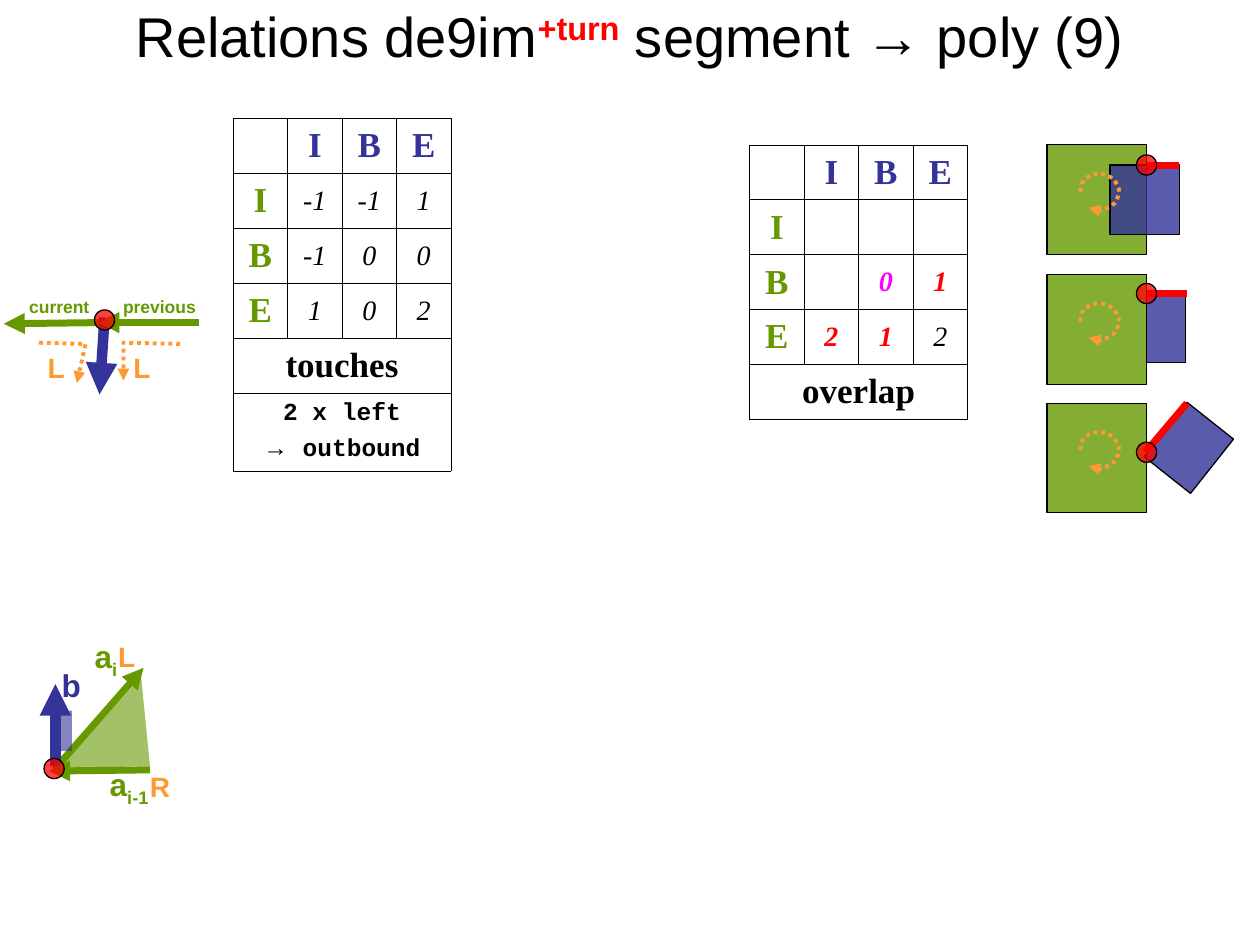
from lxml.etree import SubElement
from pptx import Presentation
from pptx.dml.color import RGBColor
from pptx.enum.dml import MSO_LINE_DASH_STYLE as Dash
from pptx.enum.shapes import MSO_CONNECTOR as Connector, MSO_SHAPE as Shape
from pptx.enum.text import MSO_ANCHOR as Anchor, MSO_AUTO_SIZE as AutoSize, PP_ALIGN as Align
from pptx.oxml import parse_xml
from pptx.oxml.ns import nsdecls, qn
from pptx.util import Inches, Pt

COLORS = {"black": "000000", "green": "669900", "blue": "333399",
          "orange": "FF9933", "red": "FF0000", "pink": "FF00FF"}
SERIF = "Times New Roman"
MONO = "Courier New"
TURN = [(8.57, 0.37), (8.58, 0.36), (8.58, 0.3), (8.6, 0.28), (8.62, 0.26),
        (8.67, 0.23), (8.7, 0.23), (8.74, 0.22), (8.79, 0.24), (8.82, 0.26),
        (8.85, 0.28), (8.87, 0.32), (8.88, 0.35), (8.88, 0.38), (8.87, 0.44),
        (8.85, 0.46), (8.82, 0.49), (8.77, 0.51), (8.74, 0.52), (8.7, 0.53),
        (8.66, 0.5), (8.64, 0.5)]


class SlideBuilder:
    def __init__(self, slide):
        self.slide = slide
        self.shapes = slide.shapes

    def rgb(self, color):
        return RGBColor.from_string(COLORS[color])

    def run(self, para, text, size, color="black", bold=True, italic=False,
            font="Arial", baseline=0):
        span = para.add_run()
        span.text = text
        span.font.size = Pt(size)
        span.font.name = font
        span.font.bold = bold
        span.font.italic = italic
        span.font.color.rgb = self.rgb(color)
        if baseline:
            span.font._element.set("baseline", str(baseline * 1000))

    def title(self, left, top, width, height):
        box = self.shapes.title
        box.left, box.top, box.width, box.height = map(Inches, (left, top, width, height))
        frame = box.text_frame
        frame.auto_size = AutoSize.NONE
        frame.vertical_anchor = Anchor.MIDDLE
        para = frame.paragraphs[0]
        para.alignment = Align.CENTER
        self.run(para, "Relations de9im", 32, bold=False)
        self.run(para, "+turn", 32, "red", baseline=30)
        self.run(para, " segment → poly (9)", 32, bold=False)

    def label(self, left, top, width, height, text, size, color, sub=""):
        box = self.shapes.add_textbox(*map(Inches, (left, top, width, height)))
        frame = box.text_frame
        frame.word_wrap = False
        frame.auto_size = AutoSize.SHAPE_TO_FIT_TEXT
        para = frame.paragraphs[0]
        para.alignment = Align.CENTER
        self.run(para, text, size, color)
        if sub:
            self.run(para, sub, size, color, baseline=-25)

    def fill(self, shape, color, opacity):
        shape.shadow.inherit = False
        shape.fill.solid()
        shape.fill.fore_color.rgb = self.rgb(color)
        choice = shape._element.spPr.find(qn("a:solidFill"))[0]
        SubElement(choice, qn("a:alpha")).set("val", str(opacity * 1000))

    def solid(self, kind, left, top, width, height, color, opacity=80, outline=True, turn=0):
        shape = self.shapes.add_shape(kind, *map(Inches, (left, top, width, height)))
        shape.rotation = turn
        self.fill(shape, color, opacity)
        if outline:
            shape.line.color.rgb = self.rgb("black")
            shape.line.width = Pt(0.75)
        else:
            shape.line.fill.background()

    def node(self, x, y):
        self.solid(Shape.OVAL, x - 0.08, y - 0.08, 0.16, 0.16, "red", 75)

    def stroke(self, line, color, width, arrow):
        line.color.rgb = self.rgb(color)
        line.width = Pt(width)
        if arrow:
            SubElement(line._get_or_add_ln(), qn("a:tailEnd")).set("type", "triangle")

    def line(self, start, end, color, width=4, arrow=True):
        link = self.shapes.add_connector(Connector.STRAIGHT, *map(Inches, start + end))
        self.stroke(link.line, color, width, arrow)
        SubElement(link._element.spPr, qn("a:effectLst"))

    def outline(self, points, close):
        corners = [(Inches(x), Inches(y)) for x, y in points]
        builder = self.shapes.build_freeform(*corners[0])
        builder.add_line_segments(corners[1:], close=close)
        shape = builder.convert_to_shape()
        shape.shadow.inherit = False
        return shape

    def dotted(self, points, curved=False):
        shape = self.outline(points, False)
        shape.fill.background()
        shape.line.dash_style = Dash.ROUND_DOT
        self.stroke(shape.line, "orange", 2.25, True)
        if curved:
            outline = next(shape._element.iter(qn("a:path")))
            segments = outline.findall(qn("a:lnTo"))
            for first in range(0, len(segments), 3):
                curve = SubElement(outline, qn("a:cubicBezTo"))
                for segment in segments[first:first + 3]:
                    curve.append(segment[0])
                    outline.remove(segment)

    def polygon(self, points, color, opacity):
        shape = self.outline(points, True)
        self.fill(shape, color, opacity)
        shape.line.fill.background()

    def cell(self, cell, lines, space):
        cell.vertical_anchor = Anchor.MIDDLE
        cell.fill.background()
        properties = cell._tc.get_or_add_tcPr()
        for index, side in enumerate(("lnL", "lnR", "lnT", "lnB")):
            properties.insert(index, parse_xml(
                f'<a:{side} {nsdecls("a")} w="5715"><a:solidFill>'
                f'<a:srgbClr val="{COLORS["black"]}"/></a:solidFill></a:{side}>'))
        frame = cell.text_frame
        for index, spans in enumerate(lines):
            para = frame.add_paragraph() if index else frame.paragraphs[0]
            para.alignment = Align.CENTER
            para.space_before = Pt(space)
            for text, style in spans:
                self.run(para, text, **style)

    def matrix(self, left, top, values, name, note=()):
        count = 6 if note else 5
        heights = [2.18 / 5] * 5 + [0.62] * bool(note)
        frame = self.shapes.add_table(count, 4, Inches(left), Inches(top),
                                      Inches(1.73), Inches(sum(heights)))
        table = frame.table
        table.first_row = table.horz_banding = False
        for column in table.columns:
            column.width = Inches(1.73 / 4)
        for row, height in zip(table.rows, heights):
            row.height = Inches(height)
        heading = {"size": 20, "font": SERIF}
        for r in range(4):
            for c in range(4):
                lines, space = [], 5
                if r == 0 and c:
                    lines = [[("IBE"[c - 1], {**heading, "color": "blue"})]]
                elif r and c == 0:
                    lines = [[("IBE"[r - 1], {**heading, "color": "green"})]]
                elif r and values[r - 1][c - 1]:
                    text, color, bold = values[r - 1][c - 1]
                    style = {"size": 16, "font": SERIF, "color": color,
                             "bold": bold, "italic": True}
                    lines, space = [[(text, style)]], 4
                self.cell(table.cell(r, c), lines, space)
        footers = [([[(name, heading)]], 5), (note, 3.5)]
        for r, (lines, space) in zip(range(4, count), footers):
            table.cell(r, 0).merge(table.cell(r, 3))
            for c in range(4):
                self.cell(table.cell(r, c), [] if c else lines, space)

    def overlap_case(self, top, other, start, end, turn=0):
        self.solid(Shape.RECTANGLE, 8.31, top, 0.79, 0.87, "green")
        self.solid(Shape.RECTANGLE, *other, "blue", turn=turn)
        self.dotted([(x, top + y) for x, y in TURN], curved=True)
        self.line(start, end, "red", arrow=False)
        self.node(9.1, end[1])


def plain(rows):
    return [[(text, "black", False) for text in row.split()] for row in rows]


def main():
    deck = Presentation()
    deck.slide_width, deck.slide_height = Inches(10), Inches(7.5)
    page = SlideBuilder(deck.slides.add_slide(deck.slide_layouts[5]))
    page.title(0, -0.35, 10, 1.25)

    page.line((0.83, 2.56), (0.03, 2.57), "green")
    page.line((0.83, 2.52), (0.79, 3.13), "blue", 6)
    page.line((1.58, 2.56), (0.78, 2.56), "green")
    page.node(0.83, 2.54)
    page.dotted([(1.43, 2.73), (0.98, 2.72), (0.98, 3.02)])
    page.dotted([(0.31, 2.72), (0.68, 2.73), (0.61, 3.04)])
    for left in (0.96, 0.28):
        page.label(left, 2.73, 0.33, 0.37, "L", 16, "orange")
    page.label(0.12, 2.3, 0.7, 0.27, "current", 10, "green")
    page.label(0.86, 2.3, 0.81, 0.27, "previous", 10, "green")

    code = {"size": 14, "font": MONO}
    note = [[("2 x left", code)], [("→", {"size": 14}), (" outbound", code)]]
    page.matrix(1.85, 0.94, plain(["-1 -1 1", "-1 0 0", "1 0 2"]), "touches", note)
    page.matrix(5.95, 1.15, [
        [None, None, None],
        [None, ("0", "pink", True), ("1", "red", True)],
        [("2", "red", True), ("1", "red", True), ("2", "black", False)],
    ], "overlap")

    page.overlap_case(1.15, (8.81, 1.31, 0.55, 0.55), (9.36, 1.31), (9.1, 1.31))
    page.overlap_case(2.18, (9.1, 2.33, 0.31, 0.55), (9.42, 2.33), (9.1, 2.33))
    page.overlap_case(3.2, (9.2, 3.28, 0.47, 0.55), (9.42, 3.2), (9.09, 3.59), 38.4)

    page.polygon([(1.19, 6.08), (0.47, 6.1), (1.12, 5.37)], "green", 60)
    page.label(0.39, 5.24, 0.35, 0.4, "b", 18, "blue")
    page.line((0.43, 6.11), (1.14, 5.3), "green")
    page.line((0.44, 6.08), (0.44, 5.43), "blue", 6)
    page.line((1.19, 6.11), (0.39, 6.12), "green")
    page.node(0.43, 6.1)
    page.label(0.84, 5.03, 0.33, 0.37, "L", 16, "orange")
    page.label(0.77, 6.02, 0.51, 0.44, "a", 18, "green", "i-1")
    page.label(0.65, 5.01, 0.38, 0.44, "a", 18, "green", "i")
    page.solid(Shape.RECTANGLE, 0.48, 5.64, 0.09, 0.32, "blue", 60, False)
    page.label(1.09, 6.06, 0.36, 0.37, "R", 16, "orange")

    deck.save("out.pptx")


if __name__ == "__main__":
    main()
